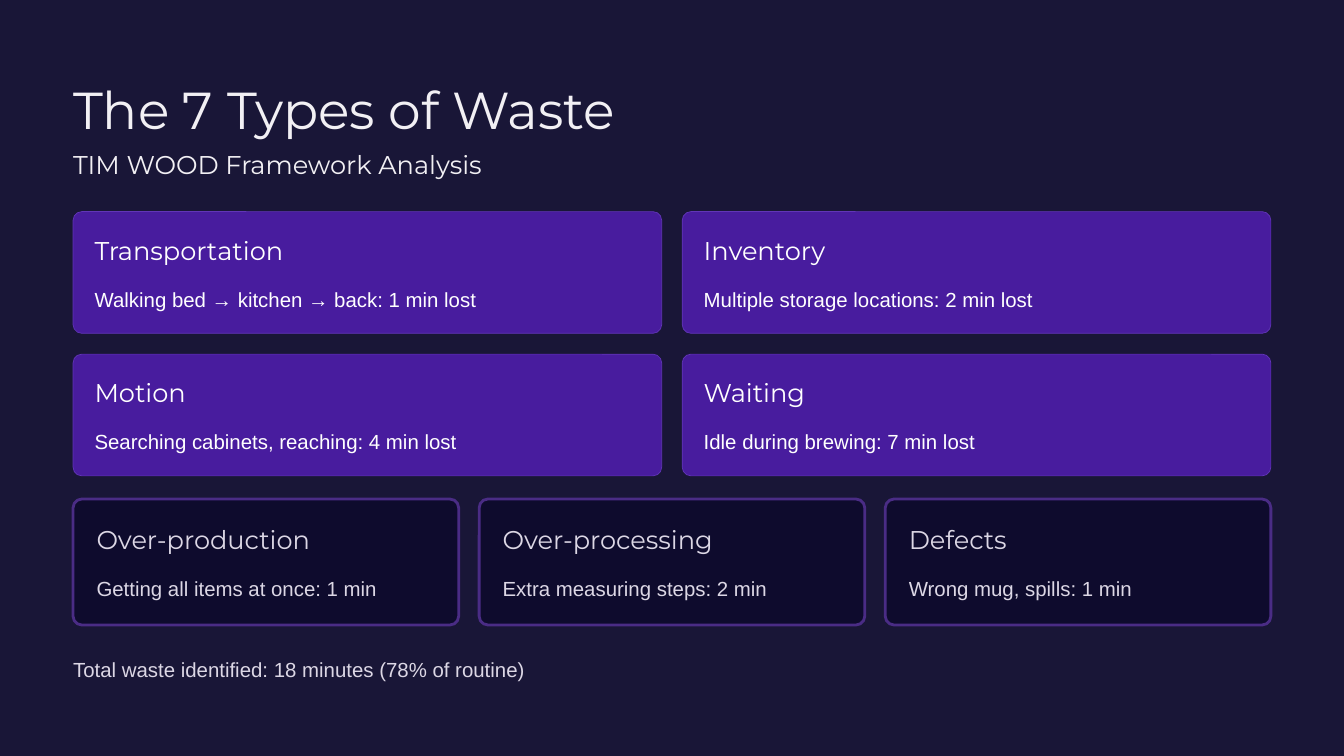
from pptx import Presentation, util as u
from pptx.dml.color import RGBColor
from pptx.enum import shapes, text

Cm, Pt = u.Cm, u.Pt
HUE = {
    "back": "191637", "pale": "F2F0F4", "white": "FFFFFF", "soft": "DCD7E5",
    "violet": "481C9E", "edge": "6135B7", "night": "0E0B2D", "rim": "4A2C85",
}
LEFT, WIDE, GAP = 2.21, 36.22, 0.62

deck = Presentation()
deck.slide_width, deck.slide_height = Cm(40.64), Cm(22.86)
slide = deck.slides.add_slide(deck.slide_layouts[6])


def paint(fill, hue):
    fill.solid()
    fill.fore_color.rgb = RGBColor.from_string(HUE[hue])


def write(words, x, y, w, h, size, lead, font, hue):
    box = slide.shapes.add_textbox(Cm(x), Cm(y), Cm(w), Cm(h))
    frame = box.text_frame
    frame.margin_left = frame.margin_right = 0
    frame.margin_top = frame.margin_bottom = 0
    frame.word_wrap = False
    frame.text = words
    para = frame.paragraphs[0]
    para.alignment = text.PP_ALIGN.LEFT
    para.line_spacing = Pt(lead)
    run = para.runs[0].font
    run.size, run.name = Pt(size), font
    run.color.rgb = RGBColor.from_string(HUE[hue])


# Background and headings
paint(slide.background.fill, "back")
write("The 7 Types of Waste", LEFT, 2.26, 16.48, 1.98, 44.5, 55.5, "Montserrat", "pale")
write("TIM WOOD Framework Analysis", LEFT, 4.47, 12.55, 0.99, 22, 27.5, "Montserrat", "pale")

# Card rows: top, height, inset, corner, fill, line, line width, text, cards
bright = (3.68, 0.65, 0.072, "violet", "edge", 0.6, "white")
dark = (3.81, 0.71, 0.07, "night", "rim", 2.4, "soft")
rows = [
    (6.4, *bright, [
        ("Transportation", "Walking bed → kitchen → back: 1 min lost"),
        ("Inventory", "Multiple storage locations: 2 min lost")]),
    (10.71, *bright, [
        ("Motion", "Searching cabinets, reaching: 4 min lost"),
        ("Waiting", "Idle during brewing: 7 min lost")]),
    (15.09, *dark, [
        ("Over-production", "Getting all items at once: 1 min"),
        ("Over-processing", "Extra measuring steps: 2 min"),
        ("Defects", "Wrong mug, spills: 1 min")]),
]
for top, high, pad, bend, fill, line, thick, ink, cards in rows:
    wide = (WIDE - GAP * (len(cards) - 1)) / len(cards)
    for col, (name, loss) in enumerate(cards):
        x = LEFT + col * (wide + GAP)
        card = slide.shapes.add_shape(
            shapes.MSO_SHAPE.ROUNDED_RECTANGLE, Cm(x), Cm(top), Cm(wide), Cm(high))
        card.adjustments[0] = bend
        card.shadow.inherit = False
        paint(card.fill, fill)
        paint(card.line.fill, line)
        card.line.width = Pt(thick)
        write(name, x + pad, top + pad, 7.87, 0.99, 22, 27.5, "Montserrat", ink)
        write(loss, x + pad, top + pad + 1.36, wide - 2 * pad, 1.02, 17.5, 28.5, "Arial", ink)

# Total
write("Total waste identified: 18 minutes (78% of routine)",
      LEFT, 19.61, WIDE, 1.02, 17.5, 28.5, "Arial", "soft")

deck.save("out.pptx")
